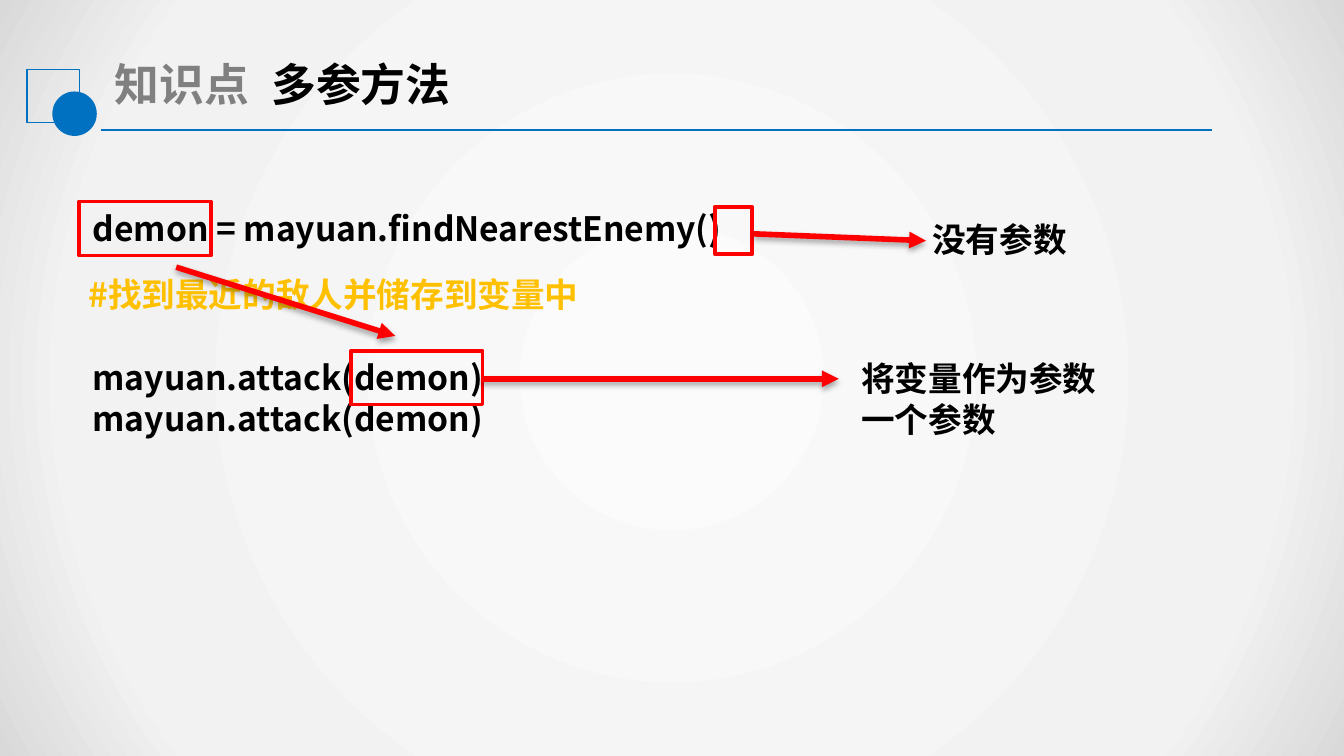
import pptx
import pptx.dml.color
import pptx.enum.shapes
import pptx.enum.text
import pptx.oxml
import pptx.oxml.ns
import pptx.util

Cm, Pt = pptx.util.Cm, pptx.util.Pt
SHAPE = pptx.enum.shapes.MSO_SHAPE
ALIGN = pptx.enum.text.PP_ALIGN
NS = pptx.oxml.ns.nsdecls("a")

COLORS = {"blue": "0070C0", "red": "FF0000", "gold": "FFC000", "grey": "808080",
          "black": "000000", "page": "F2F2F2", "center": "FBFBFB", "edge": "D9D9D9"}
CJK_FONT = "Noto Sans CJK SC"
WIDTH, HEIGHT = 25.4, 14.29
LINE_H = 1.02  # height of a box with one line of body text
BODY = {"name": CJK_FONT, "size": Pt(18), "bold": True}
HEADING = {"name": CJK_FONT, "size": Pt(24), "bold": True}
LABEL = {**HEADING, "name": "Arial Narrow"}


def rgb(name):
    return pptx.dml.color.RGBColor.from_string(COLORS[name])


def add_text(s, box, lines, fmt=BODY, color="black", align=ALIGN.LEFT):
    tf = s.shapes.add_textbox(*map(Cm, box)).text_frame
    tf.word_wrap = True
    for i, line in enumerate(lines):
        p = tf.paragraphs[0] if i == 0 else tf.add_paragraph()
        p.alignment = align
        p.line_spacing = Pt(fmt["size"].pt * 1.2)
        r = p.add_run()
        r.text = line
        for key, value in fmt.items():
            setattr(r.font, key, value)
        r.font.color.rgb = rgb(color)
        r.font._element.append(
            pptx.oxml.parse_xml(f'<a:ea {NS} typeface="{CJK_FONT}"/>'))


def add_shape(s, kind, box, fill=None, line=None, width=1):
    sp = s.shapes.add_shape(kind, *map(Cm, box))
    sp.shadow.inherit = False
    if fill:
        sp.fill.solid()
        sp.fill.fore_color.rgb = rgb(fill)
    else:
        sp.fill.background()
    if line:
        sp.line.color.rgb = rgb(line)
        sp.line.width = Pt(width)
    else:
        sp.line.fill.background()
    return sp


def add_line(s, start, end, color, width, arrow=False):
    cn = s.shapes.add_connector(pptx.enum.shapes.MSO_CONNECTOR.STRAIGHT,
                                *map(Cm, (*start, *end)))
    cn.line.color.rgb = rgb(color)
    cn.line.width = Pt(width)
    effect = ""
    if arrow:
        cn.line._get_or_add_ln().append(
            pptx.oxml.parse_xml(f'<a:tailEnd {NS} type="triangle"/>'))
        effect = ('<a:outerShdw blurRad="40000" dist="23000" dir="5400000" rotWithShape="0">'
                  f'<a:srgbClr val="{COLORS["black"]}"><a:alpha val="35000"/></a:srgbClr>'
                  '</a:outerShdw>')
    cn._element.spPr.append(
        pptx.oxml.parse_xml(f"<a:effectLst {NS}>{effect}</a:effectLst>"))


def add_frame(s, box):
    add_shape(s, SHAPE.RECTANGLE, box, line="red", width=2)


def add_arrow(s, start, end):
    add_line(s, start, end, "red", 3, arrow=True)


def draw_background(s, box):
    s.background.fill.solid()
    s.background.fill.fore_color.rgb = rgb("page")
    sp = add_shape(s, SHAPE.RECTANGLE, box, fill="page")
    stops = "".join(f'<a:gs pos="{pos}000"><a:srgbClr val="{COLORS[name]}"/></a:gs>'
                    for pos, name in ((0, "center"), (79, "page"), (100, "edge")))
    spPr = sp._element.spPr
    solid = spPr.find(pptx.oxml.ns.qn("a:solidFill"))
    spPr.replace(solid, pptx.oxml.parse_xml(
        f'<a:gradFill {NS}><a:gsLst>{stops}</a:gsLst><a:path path="circle">'
        '<a:fillToRect l="50000" t="50000" r="50000" b="50000"/></a:path></a:gradFill>'))


def draw_header(s, box):
    x, y, w, h = box
    # Title label and heading
    add_text(s, (x + 1.39, y, 3.07, 1.27), ["知识点"], LABEL, "grey", ALIGN.CENTER)
    add_text(s, (x + 4.37, y, 11.2, 1.27), ["多参方法"], HEADING)
    # Square, rule and dot
    add_shape(s, SHAPE.RECTANGLE, (x, y + 0.38, 1, 1), line="blue", width=0.75)
    add_line(s, (x + 1.39, y + h), (x + w, y + h), "blue", 1.25)
    add_shape(s, SHAPE.OVAL, (x + 0.48, y + 0.79, 0.84, 0.84), fill="blue")


def draw_search(s, box):
    """Call without parameters, with its comment."""
    x, y, w, h = box
    add_text(s, (x, y, 14.2, LINE_H), ["demon = mayuan.findNearestEnemy()"])
    add_text(s, (x - 0.08, y + 1.24, 12.4, LINE_H),
             ["#找到最近的敌人并储存到变量中"], color="gold")
    add_frame(s, (x, y, 2.49, LINE_H))
    # Empty brackets and their note
    add_frame(s, (x + 12.01, y + 0.1, 0.71, 0.89))
    add_arrow(s, (x + 12.75, y + 0.61), (x + 16, y + 0.74))
    add_text(s, (x + w - 7, y + 0.2, 7, LINE_H), ["没有参数"])


def draw_attack(s, box):
    """Calls that take the variable as their parameter."""
    x, y, w, h = box
    add_text(s, (x, y, 9, h), ["mayuan.attack(demon)"] * 2)
    # From the variable to its use
    add_arrow(s, (x + 1.83, y - 1.58), (x + 5.97, y - 0.28))
    add_frame(s, (x + 5.13, y, 2.49, LINE_H))
    # Note on the parameter
    add_arrow(s, (x + 7.59, y + 0.53), (x + 14.35, y + 0.53))
    add_text(s, (x + w - 7, y + 0.02, 7, h), ["将变量作为参数", "一个参数"])


def main():
    prs = pptx.Presentation()
    prs.slide_width, prs.slide_height = Cm(WIDTH), Cm(HEIGHT)
    s = prs.slides.add_slide(prs.slide_layouts[6])
    draw_background(s, (0, 0, WIDTH, HEIGHT))
    draw_header(s, (0.51, 0.94, 22.4, 1.52))
    draw_search(s, (1.5, 3.81, 22.87, 2.26))
    draw_attack(s, (1.5, 6.63, 21.53, 1.8))
    prs.save("out.pptx")


if __name__ == "__main__":
    main()
